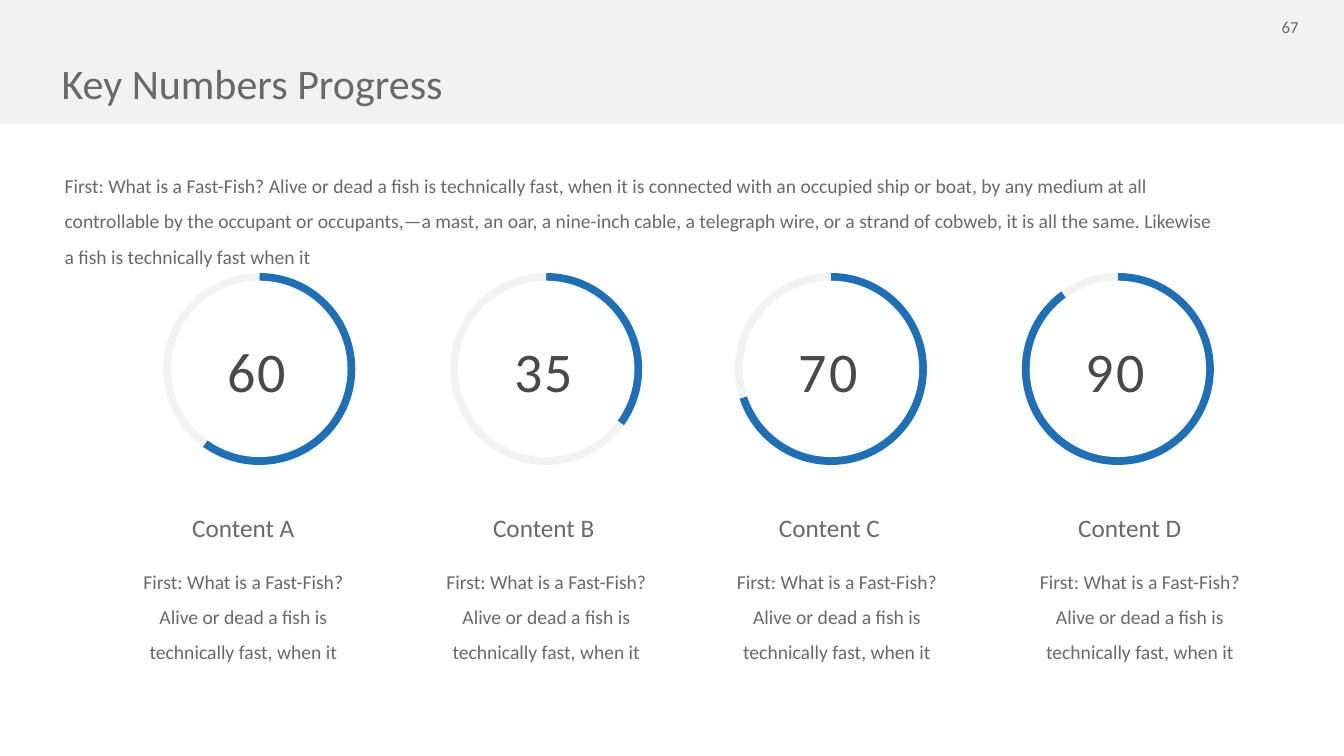
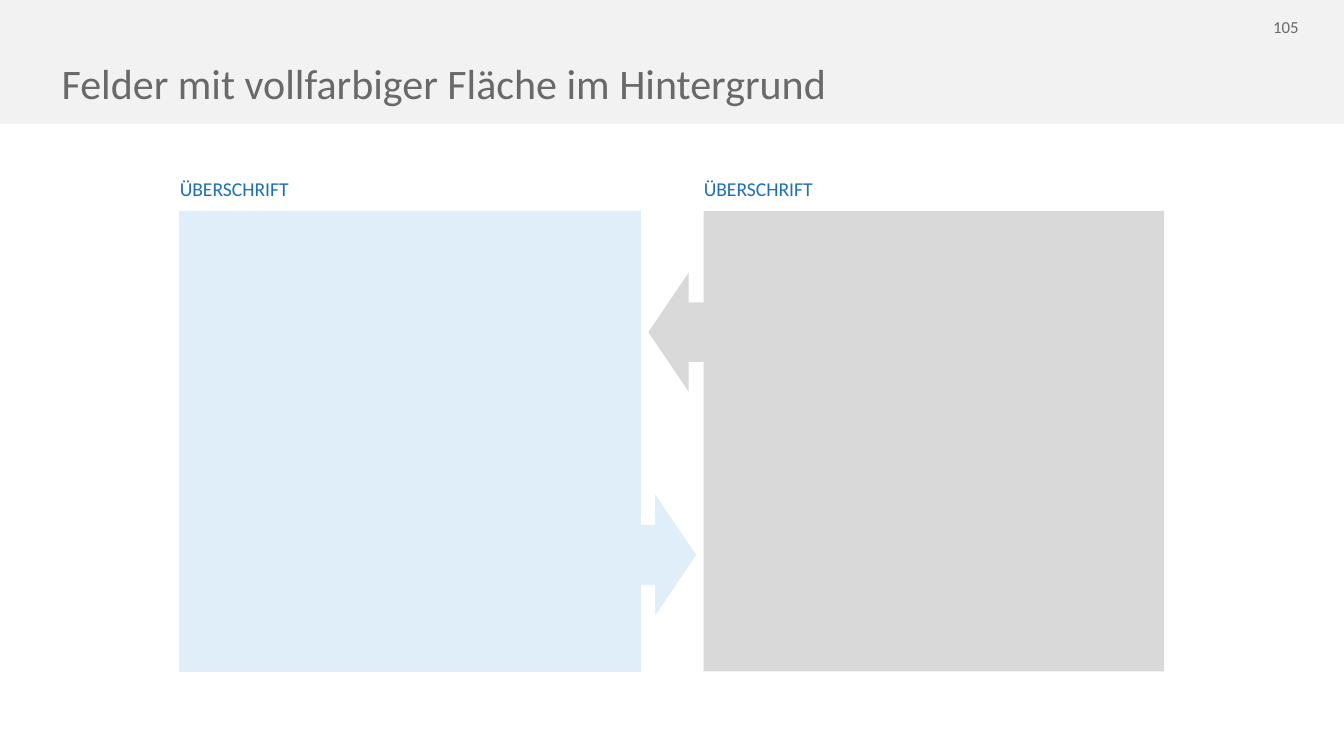
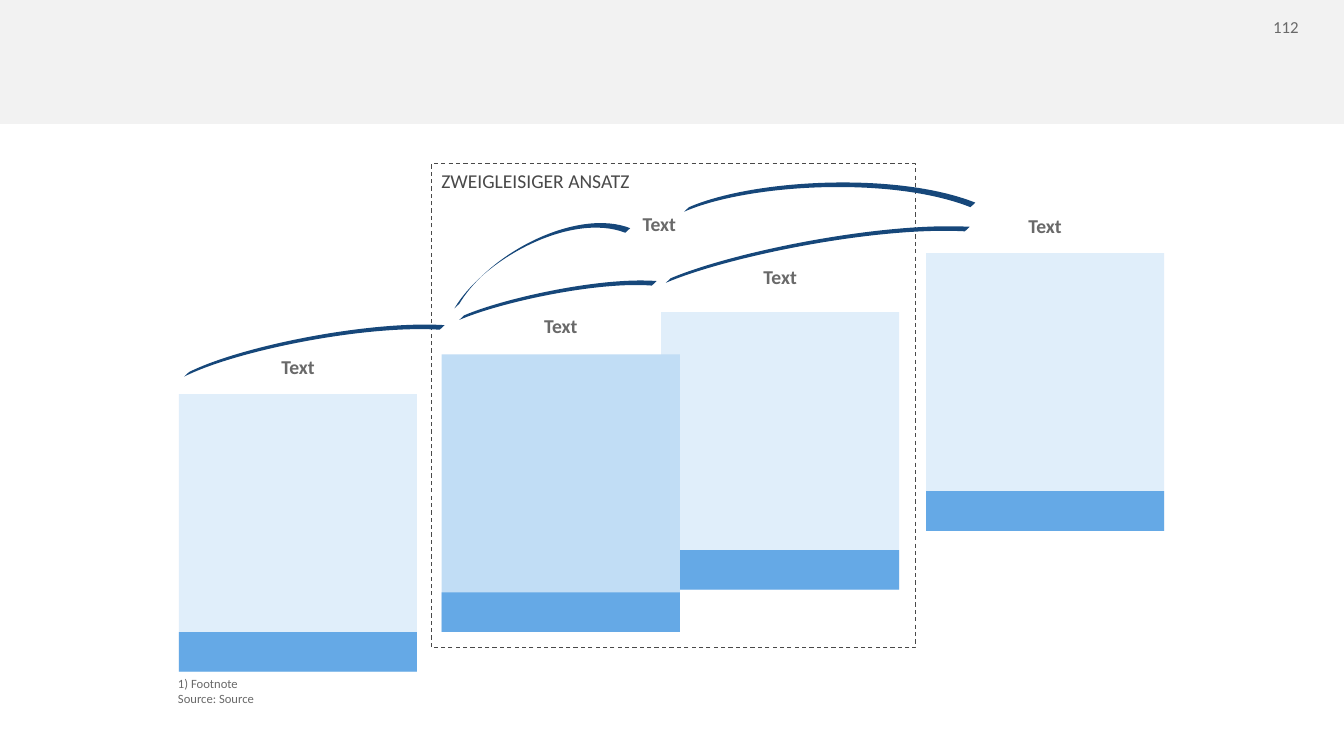
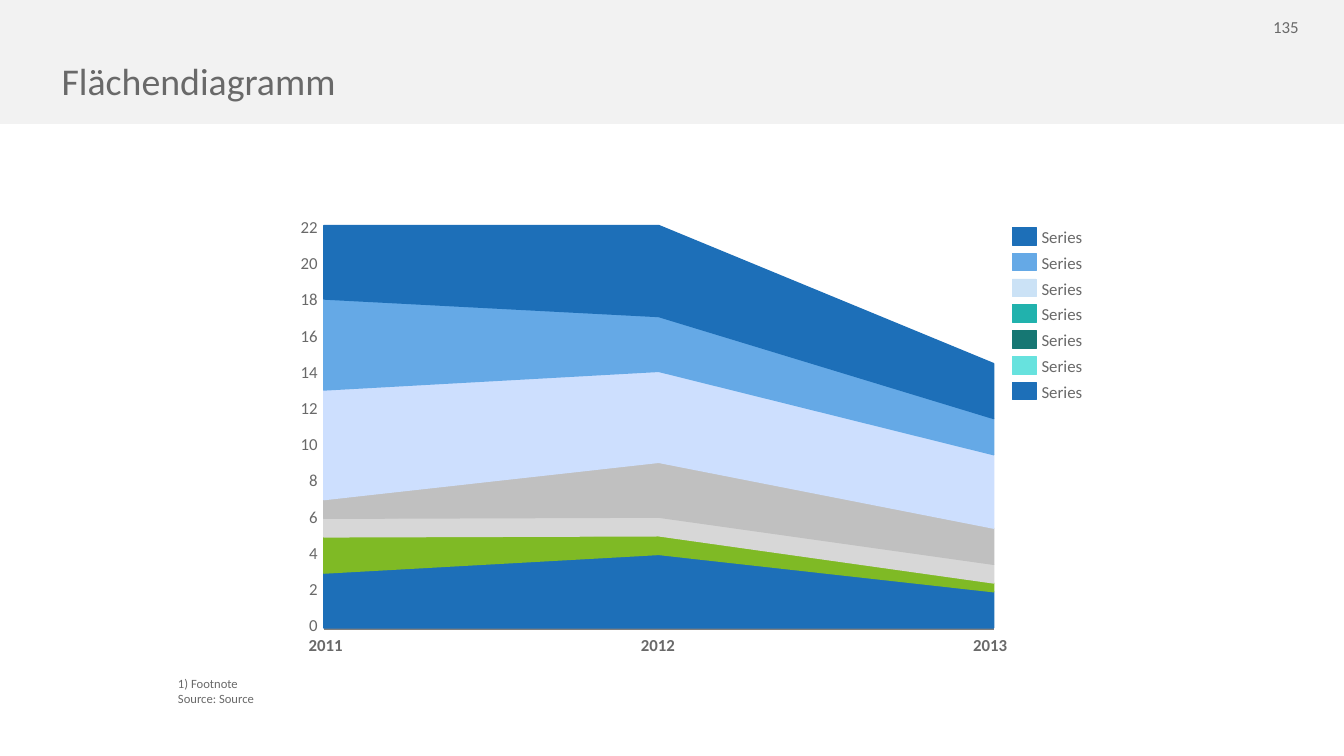
from pptx import Presentation
from pptx.chart.data import CategoryChartData
from pptx.dml.color import RGBColor
from pptx.enum import chart as charts, dml, shapes, text
from pptx.oxml import parse_xml
from pptx.oxml.ns import nsdecls
from pptx.util import Pt

FONT = "Calibri"
GRAY, DARK = "696969", "494949"
BLUE, MID_BLUE, SOFT_BLUE, PALE_BLUE = "1D6FB8", "65A9E6", "C1DDF5", "E0EEFA"
LIGHT_GRAY, PANEL_GRAY, WHITE = "F2F2F2", "D9D9D9", "FFFFFF"
ARC_BLUE = "16477A"
LEFT, CENTER, RIGHT = text.PP_ALIGN.LEFT, text.PP_ALIGN.CENTER, text.PP_ALIGN.RIGHT
TOP, MIDDLE, BOTTOM = text.MSO_ANCHOR.TOP, text.MSO_ANCHOR.MIDDLE, text.MSO_ANCHOR.BOTTOM
AUTO = shapes.MSO_SHAPE
rgb = RGBColor.from_string


def add_box(slide, box, fill=None, line=None, width=1, kind=AUTO.RECTANGLE):
    """Add a preset shape; box is left, top, width, height in points."""
    shape = slide.shapes.add_shape(kind, *map(Pt, box))
    shape.shadow.inherit = False
    for format_fill, color in ((shape.fill, fill), (shape.line.fill, line)):
        if color:
            format_fill.solid()
            format_fill.fore_color.rgb = rgb(color)
        else:
            format_fill.background()
    if line:
        shape.line.width = Pt(width)
    return shape


def write(slide, target, words, size, color=GRAY, align=LEFT, bold=False,
          anchor=TOP, inset=(7.2, 3.6), wrap=True, spacing=None):
    """Put words in a shape, or in a new text box when target is a tuple."""
    if isinstance(target, tuple):
        target = slide.shapes.add_textbox(*map(Pt, target))
    frame = target.text_frame
    frame.text = words
    frame.auto_size = text.MSO_AUTO_SIZE.NONE
    frame.word_wrap = wrap
    frame.vertical_anchor = anchor
    frame.margin_left = frame.margin_right = Pt(inset[0])
    frame.margin_top = frame.margin_bottom = Pt(inset[1])
    for paragraph in frame.paragraphs:
        paragraph.alignment = align
        if spacing:
            paragraph.line_spacing = spacing
        paragraph.font.name = FONT
        paragraph.font.size = Pt(size)
        paragraph.font.bold = bold
        paragraph.font.color.rgb = rgb(color)
    return target


presentation = Presentation()
presentation.slide_width, presentation.slide_height = Pt(1919.5), Pt(1080)
layout = presentation.slide_layouts[5]
layout_title = layout.placeholders[0]
layout_title.left, layout_title.top = Pt(80.8), Pt(86.4)
layout_title.width, layout_title.height = Pt(1757.5), Pt(90.7)

# Title, title size, page number, footnote
pages = [
    ("Key Numbers Progress", 60, "67", ""),
    ("Felder mit vollfarbiger Fläche im Hintergrund", 60, "105", ""),
    ("", 60, "112", "1) Footnote\nSource: Source"),
    ("Flächendiagramm", 54, "135", "1) Footnote\nSource: Source"),
]
for title, size, number, footnote in pages:
    slide = presentation.slides.add_slide(layout)
    if title:
        write(slide, slide.shapes.title, title, size, spacing=0.9)
    else:
        slide.shapes.element.remove(slide.shapes.title.element)
    write(slide, (1777, 17.3, 92.2, 44), number, 24, align=RIGHT, inset=(14.4, 7.2))
    if footnote:
        write(slide, (239.8, 957.8, 1438.6, 58.3), footnote, 18,
              anchor=BOTTOM, inset=(14.4, 7.2))
progress, panels, steps, area = presentation.slides

# The header band belongs to the layout, behind everything else
band = add_box(progress, (-12.2, 0, 1945.4, 177), LIGHT_GRAY)
layout.shapes.element.insert(2, band.element)

# Slide 1: progress rings
write(progress, (85.2, 228.2, 1655.3, 155.5),
      "First: What is a Fast-Fish? Alive or dead a fish is technically fast, when it is "
      "connected with an occupied ship or boat, by any medium at all controllable by the "
      "occupant or occupants,—a mast, an oar, a nine-inch cable, a telegraph wire, or a "
      "strand of cobweb, it is all the same. Likewise a fish is technically fast when it",
      28, spacing=1.5)
chart_layouts = []
# Value, label, left of the ring chart, centre of the label, left of the description
rings = [
    (60, "Content A", 191.8, 347.4, 191.5),
    (35, "Content B", 601.5, 776.5, 624.2),
    (70, "Content C", 1008.2, 1184.6, 1039.2),
    (90, "Content D", 1418, 1613.5, 1471.9),
]
for value, label, left, label_center, text_left in rings:
    data = CategoryChartData()
    data.categories = ["1", "2"]
    data.add_series("Series 1", (value, 100 - value))
    chart = progress.shapes.add_chart(
        charts.XL_CHART_TYPE.PIE, *map(Pt, (left, 379.6, 357.1, 295.2)), data).chart
    chart.font.name, chart.font.size = FONT, Pt(10)
    chart.font.color.rgb = rgb(GRAY)
    chart.plots[0].vary_by_categories = True
    for index, color in enumerate((BLUE, LIGHT_GRAY)):
        point = chart.plots[0].series[0].points[index]
        point.format.fill.solid()
        point.format.fill.fore_color.rgb = rgb(color)
        point.format.line.fill.background()
    chart_layouts.append((chart, 0.116, 0.035, 0.768, 0.93))
    add_box(progress, (left + 52.6, 401, 252, 252), WHITE, kind=AUTO.OVAL)
    number = write(progress, (left + 63, 476.6, 224, 104.4), str(value), 80, DARK, CENTER)
    number.element.xpath(".//a:r")[0].get_or_add_rPr().set("spc", "300")
    write(progress, (label_center - 81, 728.6, 162, 51), label, 36, align=CENTER, wrap=False)
    write(progress, (text_left, 793.4, 311.8, 154.8),
          "First: What is a Fast-Fish? Alive or dead a fish is technically fast, when it",
          28, align=CENTER, spacing=1.5)

# Slide 2: two panels with arrows towards each other
# Panel left, fill, line, arrow kind, arrow left, arrow top
for left, fill, line, arrow, arrow_left, arrow_top in [
    (256.8, PALE_BLUE, PALE_BLUE, AUTO.RIGHT_ARROW, 778.3, 707.8),
    (1005.1, PANEL_GRAY, None, AUTO.LEFT_ARROW, 925.9, 389.5),
]:
    add_box(panels, (left, 301.8, 657.4, 657.4), fill, line)
    write(panels, (left, 245.5, 215.3, 49), "ÜBERSCHRIFT", 28, BLUE, inset=(0, 7.2))
    shape = add_box(panels, (arrow_left, arrow_top, 215.3, 170), fill, line, kind=arrow)
    shape.adjustments[0], shape.adjustments[1] = 0.5, 0.339

# Slide 3: rising columns joined by swept arcs
frame = add_box(steps, (615.9, 234, 691.6, 691.6), line=DARK, width=1.5)
frame.line.dash_style = dml.MSO_LINE.DASH
write(steps, frame, "ZWEIGLEISIGER ANSATZ", 28, DARK, inset=(14.4, 7.2))

# Each arc runs through four points; its far edge is the same curve, shifted
SWEEP_X, SWEEP_Y = 7, -6.5
for arc in [
    [(656, 457), (735, 432), (837, 412.5), (931, 408)],
    [(263, 538), (367, 502.5), (502.5, 477), (628, 471)],
    [(951, 404), (1073.5, 366.5), (1231, 338), (1378, 330.5)],
    [(649, 440.5), (715.5, 373), (806.5, 331), (893, 332.5)],
    [(977, 302.5), (1099.5, 273), (1251, 269), (1386, 296)],
]:
    far_edge = [(x + SWEEP_X, y + SWEEP_Y) for x, y in reversed(arc)]
    outline = [(Pt(x), Pt(y)) for x, y in arc + far_edge]
    builder = steps.shapes.build_freeform(*outline[0], scale=1.0)
    builder.add_line_segments(outline[1:], close=True)
    shape = builder.convert_to_shape()
    shape.shadow.inherit = False
    shape.fill.solid()
    shape.fill.fore_color.rgb = rgb(ARC_BLUE)
    shape.line.fill.background()

    # Turn each run of four points into one Bézier curve through them
    outline_path = shape.element.xpath(".//a:path")[0]
    nodes = [(int(node.get("x")), int(node.get("y"))) for node in outline_path.xpath(".//a:pt")]
    for step in list(outline_path)[1:]:
        outline_path.remove(step)
    for edge in (nodes[:4], nodes[4:8]):
        if edge[0] != nodes[0]:
            outline_path.append(parse_xml(
                f'<a:lnTo {nsdecls("a")}><a:pt x="{edge[0][0]}" y="{edge[0][1]}"/></a:lnTo>'))
        controls = [
            [round(sum(weight * node[axis] for weight, node in zip(weights, edge)) / 6)
             for axis in (0, 1)]
            for weights in ((-5, 18, -9, 2), (2, -9, 18, -5))
        ]
        points = "".join(f'<a:pt x="{x}" y="{y}"/>' for x, y in [*controls, edge[3]])
        outline_path.append(parse_xml(
            f'<a:cubicBezTo {nsdecls("a")}>{points}</a:cubicBezTo>'))
    outline_path.append(parse_xml(f'<a:close {nsdecls("a")}/>'))

# Column left, top, fill, label top
labels = [(941.6, 298.8)]
for left, top, fill, label_top in [
    (944.2, 445.8, PALE_BLUE, 374.4),
    (255.6, 563, PALE_BLUE, 503),
    (1322.6, 361.6, PALE_BLUE, 301.7),
    (630.9, 506.1, SOFT_BLUE, 445.2),
]:
    add_box(steps, (left, top, 340, 396.7), fill)
    add_box(steps, (left, top + 340, 340, 56.7), MID_BLUE)
    labels.append((left + 170, label_top))
for center, top in labels:
    write(steps, (center - 31.5, top, 63, 41), "Text", 28, align=CENTER, bold=True, wrap=False)

# Slide 4: stacked areas with their own scale and legend
bands = [
    (BLUE, (50, 67, 33)),
    ("7FBA25", (33, 17, 8)),
    ("D7D7D7", (17, 17, 17)),
    ("C0C0C0", (17, 50, 33)),
    ("CDDFFE", (100, 83, 67)),
    (MID_BLUE, (83, 50, 33)),
    (BLUE, (67, 83, 50)),
]
data = CategoryChartData()
data.categories = ["1", "2", "3"]
for index, (color, values) in enumerate(bands, 1):
    data.add_series(f"Series {index}", values)
chart = area.shapes.add_chart(
    charts.XL_CHART_TYPE.AREA_STACKED, *map(Pt, (447.8, 310.3, 979.2, 593.3)), data).chart
chart.font.name, chart.font.size, chart.font.bold = "Cambria", Pt(24), True
chart.font.color.rgb = rgb(GRAY)
chart.plots[0].vary_by_categories = False
for series, (color, values) in zip(chart.plots[0].series, bands):
    series.format.fill.solid()
    series.format.fill.fore_color.rgb = rgb(color)
    series.format.line.color.rgb = rgb(color)
    series.format.line.width = Pt(2)
for axis, width in ((chart.category_axis, 6), (chart.value_axis, 2)):
    axis.has_major_gridlines = False
    axis.tick_label_position = charts.XL_TICK_LABEL_POSITION.NONE
    axis.major_tick_mark = axis.minor_tick_mark = charts.XL_TICK_MARK.NONE
    axis.format.line.color.rgb = rgb("7F7F7F")
    axis.format.line.width = Pt(width)
chart.value_axis.minimum_scale, chart.value_axis.maximum_scale = 0, 367
chart.value_axis.major_unit = 33
chart.element.xpath(".//c:crossBetween")[0].set("val", "midCat")
chart_layouts.append((chart, 0.015, 0.02, 0.977, 0.969))

for index, value in enumerate(range(22, -1, -2)):
    write(area, (417.8, 309.6 + 51.7 * index, 36, 29), str(value), 24,
          align=RIGHT, anchor=MIDDLE, inset=(0, 0))
for index, year in enumerate(("2011", "2012", "2013")):
    write(area, (437.8 + 474.5 * index, 906.5, 54.7, 29), year, 24,
          align=CENTER, bold=True, inset=(0, 0))
for index, color in enumerate((BLUE, MID_BLUE, "CBE2F6", "21B2AD", "167773", "67E2DE", BLUE)):
    top = 324.7 + 36.85 * index
    add_box(area, (1445.8, top, 33.8, 25.2), color, color, 0.75)
    write(area, (1487.5, top - 0.8, 67.7, 28.8), "Series", 24,
          anchor=MIDDLE, inset=(0, 0), wrap=False)

# Fixed plot areas for every chart, without title or legend
for chart, x, y, width, height in chart_layouts:
    chart.has_title = chart.has_legend = False
    plot_area = chart.element.xpath(".//c:plotArea")[0]
    for old_layout in plot_area.xpath("c:layout"):
        plot_area.remove(old_layout)
    plot_area.insert(0, parse_xml(
        f'<c:layout {nsdecls("c")}><c:manualLayout><c:layoutTarget val="inner"/>'
        '<c:xMode val="edge"/><c:yMode val="edge"/>'
        f'<c:x val="{x}"/><c:y val="{y}"/><c:w val="{width}"/><c:h val="{height}"/>'
        '</c:manualLayout></c:layout>'))

presentation.save("out.pptx")
